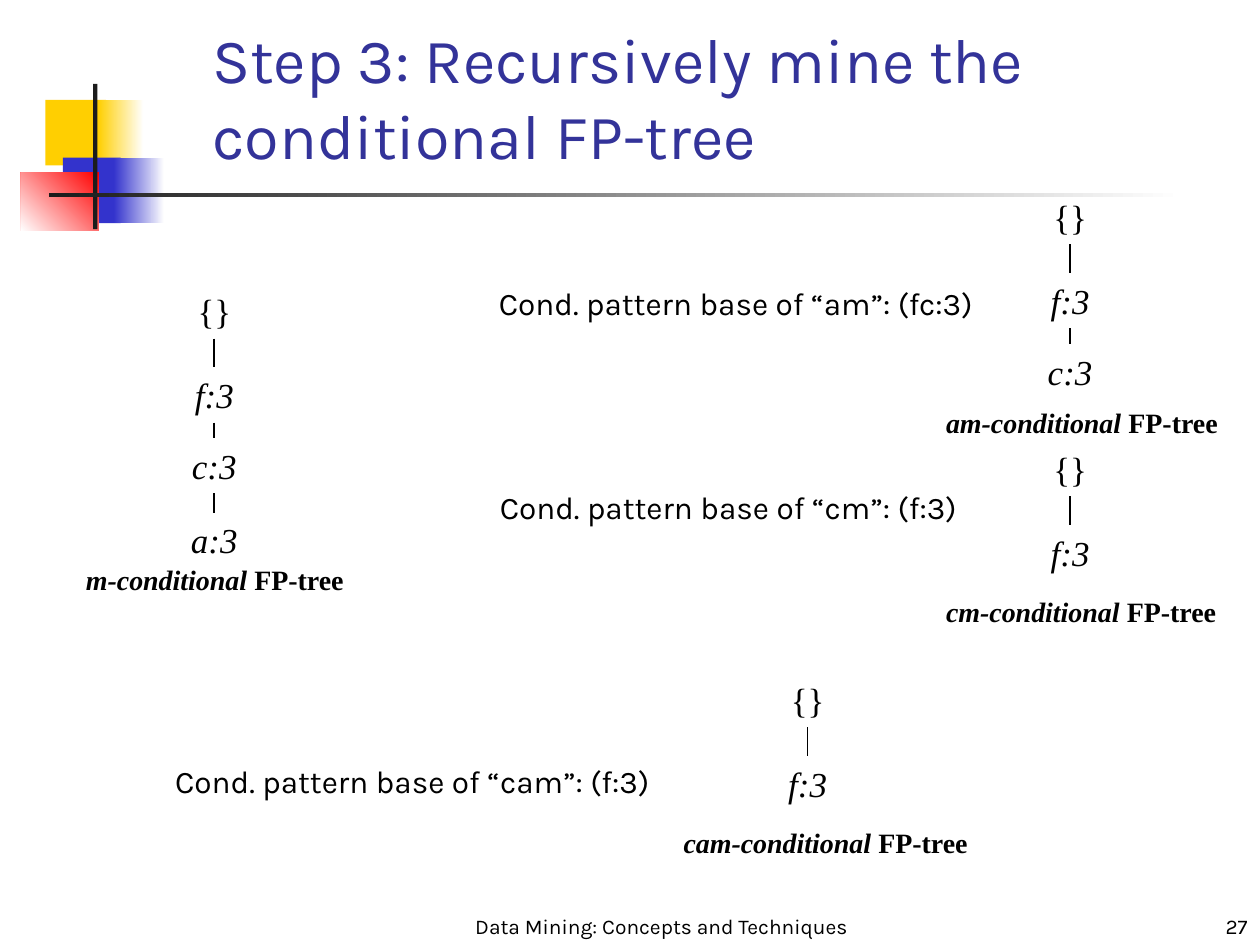
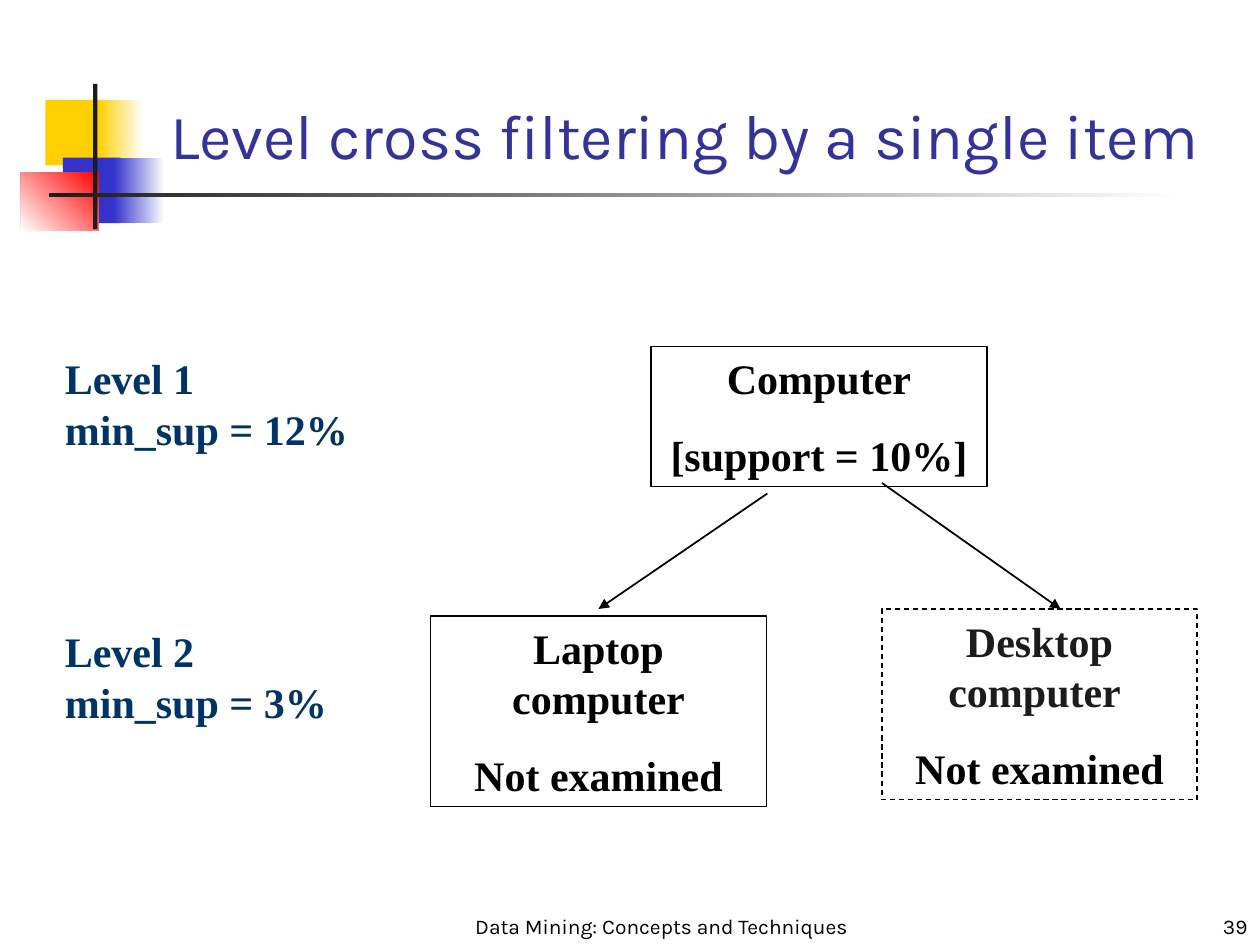
from itertools import pairwise

from lxml.etree import SubElement
from pptx import Presentation
from pptx.dml.color import RGBColor
from pptx.enum.dml import MSO_LINE
from pptx.enum.shapes import MSO_CONNECTOR, MSO_SHAPE
from pptx.enum.text import MSO_ANCHOR, MSO_AUTO_SIZE, PP_ALIGN
from pptx.oxml.ns import qn
from pptx.util import Pt

COLORS = {"title": "333399", "text": "000000", "level": "003366", "dark": "1C1C1C",
          "yellow": "FFCF01", "blue": "3333CC", "red": "FF0000", "white": "FFFFFF"}
SANS, SERIF = "Karla", "Times New Roman"
FOOTER = "Data Mining: Concepts and Techniques"
NODE_TOPS = (0, 48, 88.5, 131)
NODE_W, NODE_H = 40, 31.5


def rgb(name):
    """Return the named colour."""
    return RGBColor.from_string(COLORS[name])


def write(tf, paras, size=18, font=SANS, color="text", bold=False, italic=False,
          align=PP_ALIGN.LEFT, anchor=MSO_ANCHOR.TOP, before=0, wrap=True):
    """Fill a text frame; each paragraph is a string or a list of (text, changes) runs."""
    tf.word_wrap, tf.auto_size, tf.vertical_anchor = wrap, MSO_AUTO_SIZE.NONE, anchor
    for i, para in enumerate(paras):
        p = tf.add_paragraph() if i else tf.paragraphs[0]
        p.alignment, p.space_before = align, Pt(before)
        for text, changes in [(para, {})] if isinstance(para, str) else para:
            look = {"color": color, "italic": italic} | changes
            r = p.add_run()
            r.text = text
            r.font.name, r.font.size, r.font.bold = font, Pt(size), bold
            r.font.italic = look["italic"]
            r.font.color.rgb = rgb(look["color"])


def add_text(s, box, paras, **fmt):
    """Add a text box at box = (left, top, width, height)."""
    sp = s.shapes.add_textbox(*map(Pt, box))
    write(sp.text_frame, paras, **fmt)


def add_rect(s, box, fill, fade=None):
    """Add a borderless rectangle, solid or fading to white at the given angle."""
    sp = s.shapes.add_shape(MSO_SHAPE.RECTANGLE, *map(Pt, box))
    sp.shadow.inherit = False
    sp.line.fill.background()
    if fade is None:
        sp.fill.solid()
        sp.fill.fore_color.rgb = rgb(fill)
    else:
        sp.fill.gradient()
        sp.fill.gradient_angle = fade
        for stop, name in zip(sp.fill.gradient_stops, (fill, "white")):
            stop.color.rgb = rgb(name)
    return sp


def add_line(s, x1, y1, x2, y2, arrow=False):
    """Add a thin black line, with an arrowhead at its end if asked."""
    line = s.shapes.add_connector(MSO_CONNECTOR.STRAIGHT, *map(Pt, (x1, y1, x2, y2)))
    line.line.color.rgb = rgb("text")
    line.line.width = Pt(1)
    if arrow:
        SubElement(line.line._get_or_add_ln(), qn("a:tailEnd"), type="triangle")
    SubElement(line._element.spPr, qn("a:effectLst"))


def add_frame(prs, title, box, number):
    """Add a slide with its title, corner blocks, rules and footer."""
    s = prs.slides.add_slide(prs.slide_layouts[5])
    add_rect(s, (26, 57, 34.5, 37.5), "yellow")
    add_rect(s, (56, 57, 26, 37.5), "yellow", 0)
    add_rect(s, (36, 90, 33, 37.5), "blue")
    add_rect(s, (65, 90, 29, 37.5), "blue", 0)
    add_rect(s, (12, 98.5, 44.5, 33.5), "red", 225)
    add_rect(s, (53.25, 48, 2.5, 83), "dark")
    add_rect(s, (28, 110.25, 648, 2.5), "dark", 0)
    sp = s.shapes.title
    sp.left, sp.top, sp.width, sp.height = map(Pt, box)
    write(sp.text_frame, [title], size=36, color="title", anchor=MSO_ANCHOR.BOTTOM)
    for left, width, text, align in ((264, 228, FOOTER, PP_ALIGN.CENTER),
                                     (570, 150, number, PP_ALIGN.RIGHT)):
        add_text(s, (left, 510, width, 30), [text], size=12, align=align,
                 anchor=MSO_ANCHOR.BOTTOM)
    return s


def add_tree(s, left, top, nodes, name, caption_top, stem=78):
    """Add a one-branch tree on a stem, with its caption starting at the left edge."""
    tops = [top + y for y in NODE_TOPS[:len(nodes) + 1]]
    x = left + stem
    for y, node in zip(tops, ["{}", *nodes]):
        add_text(s, (x - NODE_W / 2, y, NODE_W, NODE_H), [node], size=20, font=SERIF,
                 italic=node != "{}", align=PP_ALIGN.CENTER, wrap=False)
    for y1, y2 in pairwise(tops):
        add_line(s, x, y1 + NODE_H, x, y2)
    caption = [(f"{name}-conditional ", {"italic": True}), ("FP-tree", {})]
    add_text(s, (left, top + caption_top, 178, 26.5), [caption], size=16, font=SERIF,
             bold=True, wrap=False)


def add_item(s, box, paras, dashed=False):
    """Add an outlined item box, dashed and half transparent when filtered out."""
    sp = add_rect(s, box, "white")
    sp.line.color.rgb = rgb("text")
    sp.line.width = Pt(0.75)
    if dashed:
        sp.line.dash_style = MSO_LINE.DASH
        SubElement(sp._element.spPr.find(f".//{qn('a:srgbClr')}"), qn("a:alpha"), val="50000")
    write(sp.text_frame, paras, size=24, font=SERIF, bold=True, align=PP_ALIGN.CENTER,
          before=15)


def add_mining_slide(prs):
    """Add the slide of conditional FP-trees."""
    s = add_frame(prs, "Step 3: Recursively mine the conditional FP-tree",
                  (114, 24, 528, 78), "27")
    add_tree(s, 42, 162, ["f:3", "c:3", "a:3"], "m", 156, stem=80.5)
    add_tree(s, 533.5, 108, ["f:3", "c:3"], "am", 120)
    add_tree(s, 533.5, 252, ["f:3"], "cm", 84)
    add_tree(s, 383.5, 384, ["f:3"], "cam", 84)
    for left, top, name, base in ((278, 158.5, "am", "fc:3"), (278.5, 275.5, "cm", "f:3"),
                                  (93, 432, "cam", "f:3")):
        add_text(s, (left, top, 292, 29), [f"Cond. pattern base of “{name}”: ({base})"],
                 wrap=False)


def add_filtering_slide(prs):
    """Add the slide of two support levels."""
    s = add_frame(prs, "Level cross filtering by a single item", (90, 54, 613.5, 48), "39")
    for level, top, support in ((1, 198, 12), (2, 354, 3)):
        add_text(s, (30, top, 176, 65), [f"Level {level}", f"min_sup = {support}%"],
                 size=24, font=SERIF, color="level", bold=True, wrap=False)
    add_item(s, (372, 198, 192, 80), ["Computer", "[support = 10%]"])
    add_item(s, (246, 352, 192, 109), ["Laptop computer", "Not examined"])
    add_item(s, (504, 348, 180, 109),
             [[("Desktop computer ", {"color": "dark"})], "Not examined"], dashed=True)
    add_line(s, 438.5, 282, 342, 348, arrow=True)
    add_line(s, 504, 276, 606, 348, arrow=True)


def main():
    """Build and save the presentation."""
    prs = Presentation()
    prs.slide_width, prs.slide_height = Pt(720), Pt(540)
    add_mining_slide(prs)
    add_filtering_slide(prs)
    prs.save("out.pptx")


if __name__ == "__main__":
    main()
